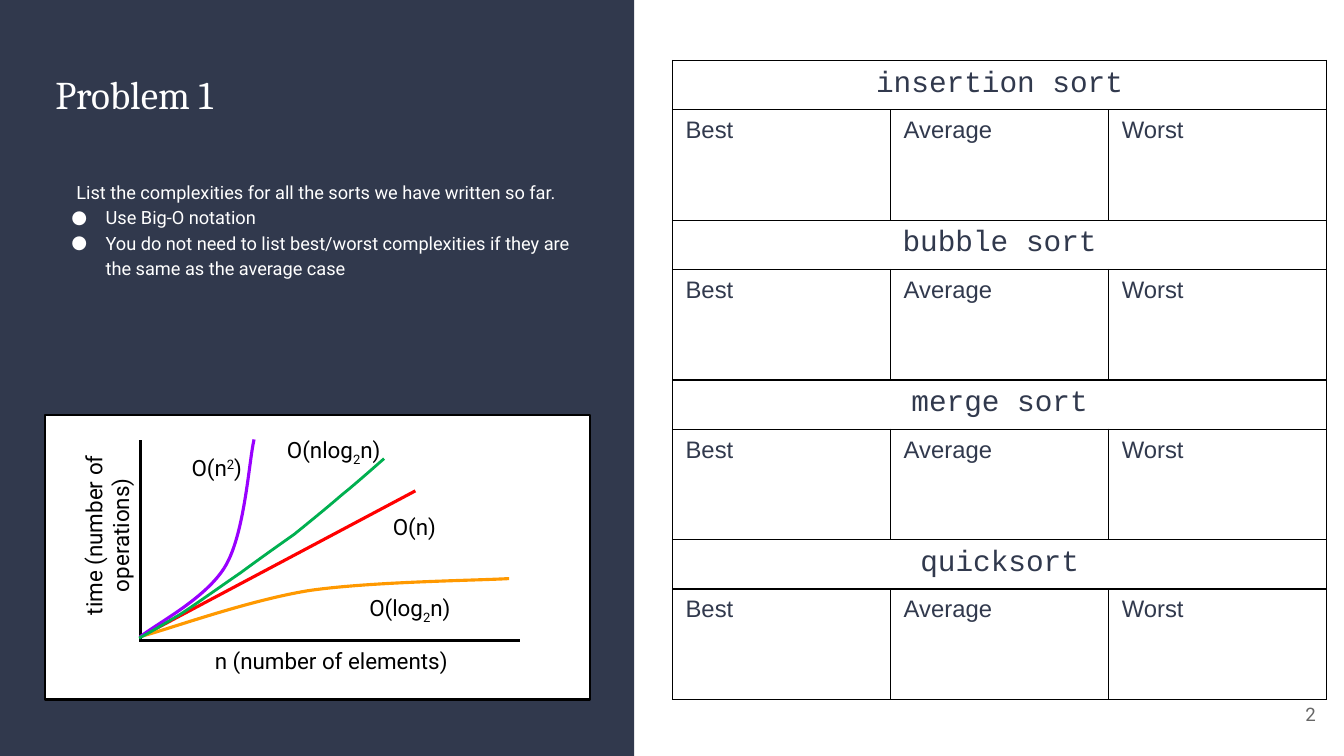
"""Build the Problem 1 slide: sorting complexities to fill in, beside a growth-rate graph."""
from lxml import etree
from pptx import Presentation
from pptx.dml.color import RGBColor
from pptx.enum.shapes import MSO_CONNECTOR, MSO_SHAPE
from pptx.enum.text import MSO_ANCHOR, PP_ALIGN
from pptx.oxml.ns import qn
from pptx.util import Inches, Pt

LEFT, CENTER, RIGHT = PP_ALIGN.LEFT, PP_ALIGN.CENTER, PP_ALIGN.RIGHT
TOP, MIDDLE = MSO_ANCHOR.TOP, MSO_ANCHOR.MIDDLE
STRAIGHT, RECTANGLE = MSO_CONNECTOR.STRAIGHT, MSO_SHAPE.RECTANGLE
NAVY = RGBColor(0x31, 0x39, 0x4D)
WHITE = RGBColor(0xFF, 0xFF, 0xFF)
BLACK = RGBColor(0, 0, 0)
GRAY = RGBColor(0x66, 0x66, 0x66)
RED = RGBColor(0xFF, 0, 0)
ORANGE = RGBColor(0xFF, 0x99, 0)
PURPLE = RGBColor(0x99, 0, 0xFF)
GREEN = RGBColor(0, 0xB0, 0x50)

WIDTH, HEIGHT = 13.33, 7.5
MARGIN, COLUMN = 0.45, 5.4
TASK = "List the complexities for all the sorts we have written so far."
HINTS = [
    "Use Big-O notation",
    "You do not need to list best/worst complexities if they are the same as the average case",
]
SORTS = ["insertion sort", "bubble sort", "merge sort", "quicksort"]
CASES = ["Best", "Average", "Worst"]
TABLE_BOX = (6.67, 0.6, 6.49, 6.34)
SORT_ROW = 0.49
CASE_ROW = TABLE_BOX[3] / len(SORTS) - SORT_ROW

SUB, SUPER = -25000, 30000
LABELS = [
    ((1.74, 6.41, 3.09, 0.28), 0, [("n (number of elements)", 0)]),
    ((-0.01, 5.17, 2.14, 0.28), 270, [("time (number of operations)", 0)]),
    ((3.16, 5.08, 1.9, 0.28), 0, [("O(n)", 0)]),
    ((2.52, 5.96, 3.09, 0.18), 0, [("O(log", 0), ("2", SUB), ("n)", 0)]),
    ((1.2, 4.5, 1.9, 0.28), 0, [("O(n", 0), ("2", SUPER), (")", 0)]),
    ((2.36, 4.34, 1.9, 0.28), 0, [("O(nlog", 0), ("2", SUB), ("n)", 0)]),
]
LINES = [
    ((1.39, 4.37), (1.39, 6.36), BLACK),
    ((1.38, 6.35), (5.16, 6.35), BLACK),
    ((1.39, 6.32), (4.12, 4.87), RED),
]
CURVES = [
    (ORANGE, 2.25, [(1.41, 6.31), (1.68, 6.24), (2.45, 5.96), (3.06, 5.86),
                    (3.67, 5.77), (4.72, 5.76), (5.05, 5.74)]),
    (PURPLE, 2.25, [(1.39, 6.32), (1.53, 6.2), (2.05, 5.94), (2.24, 5.61),
                    (2.43, 5.28), (2.47, 4.57), (2.52, 4.36)]),
    (GREEN, 2, [(1.38, 6.33), (1.5, 6.27), (1.61, 6.2), (1.78, 6.1),
                (1.95, 5.99), (2.2, 5.81), (2.39, 5.68),
                (2.58, 5.54), (2.75, 5.42), (2.92, 5.3),
                (3.08, 5.17), (3.24, 5.04), (3.39, 4.91),
                (3.54, 4.79), (3.74, 4.61), (3.81, 4.55)]),
]

deck = Presentation()
deck.slide_width, deck.slide_height = Inches(WIDTH), Inches(HEIGHT)
slide = deck.slides.add_slide(deck.slide_layouts[6])
shapes = slide.shapes


def style(paragraph, font, size, color, align=LEFT):
    paragraph.alignment = align
    for run in paragraph.runs:
        run.font.name, run.font.size = font, Pt(size)
        run.font.color.rgb = color


def text_box(box, inset=0.1, anchor=TOP):
    holder = shapes.add_textbox(*map(Inches, box))
    frame = holder.text_frame
    frame.word_wrap, frame.vertical_anchor = True, anchor
    frame.margin_left = frame.margin_right = Inches(inset)
    frame.margin_top = frame.margin_bottom = Inches(inset)
    return holder


def panel(box, fill):
    area = shapes.add_shape(RECTANGLE, *map(Inches, box))
    area.shadow.inherit = False
    area.fill.solid()
    area.fill.fore_color.rgb = fill
    area.line.fill.background()
    return area


def indent(paragraph, left, first=0, bullet=None):
    paragraph.line_spacing = 1.15
    properties = paragraph._p.get_or_add_pPr()
    properties.set("marL", str(Inches(left)))
    properties.set("indent", str(Inches(first)))
    if bullet:
        etree.SubElement(properties, qn("a:buFont"), typeface="Roboto")
        etree.SubElement(properties, qn("a:buChar"), char=bullet)


def fill_cell(cell, text, font, size, align):
    cell.text = text
    style(cell.text_frame.paragraphs[0], font, size, NAVY, align)


def outline_cell(cell):
    cell.margin_left = cell.margin_right = Inches(0.13)
    cell.margin_top = cell.margin_bottom = Inches(0.07)
    cell.fill.background()
    properties = cell._tc.get_or_add_tcPr()
    for order, side in enumerate(("a:lnL", "a:lnR", "a:lnT", "a:lnB")):
        border = etree.Element(qn(side), w=str(Pt(1)))
        paint = etree.SubElement(border, qn("a:solidFill"))
        etree.SubElement(paint, qn("a:srgbClr"), val=str(BLACK))
        properties.insert(order, border)


def bend(curve):
    """Join every three straight segments into one cubic segment."""
    segments = list(curve._element.iter(qn("a:lnTo")))
    for start in range(0, len(segments), 3):
        first, *others = segments[start:start + 3]
        first.addprevious(cubic := etree.Element(qn("a:cubicBezTo")))
        for segment in (first, *others):
            cubic.append(segment[0])
            segment.getparent().remove(segment)


panel((0, 0, 6.29, HEIGHT), NAVY)

title = text_box((MARGIN, 0.6, COLUMN, 0.93)).text_frame
title.text = "Problem 1"
style(title.paragraphs[0], "Cambria", 28, WHITE)

page = text_box((12.35, 6.8, 0.8, 0.57), anchor=MIDDLE).text_frame
page.text = "2"
style(page.paragraphs[0], "Roboto", 13.3, GRAY, RIGHT)

body = text_box((MARGIN, 1.67, COLUMN, 3.47)).text_frame
body.text = "\n".join([TASK, *HINTS])
task, *hints = body.paragraphs
indent(task, 0.21)
for hint in hints:
    indent(hint, 0.5, -0.34, "●")
for paragraph in body.paragraphs:
    style(paragraph, "Roboto", 13, WHITE)

table = shapes.add_table(2 * len(SORTS), len(CASES), *map(Inches, TABLE_BOX)).table
table.first_row = table.horz_banding = False
for index, sort in enumerate(SORTS):
    top, below = 2 * index, 2 * index + 1
    table.rows[top].height, table.rows[below].height = Inches(SORT_ROW), Inches(CASE_ROW)
    table.cell(top, 0).merge(table.cell(top, len(CASES) - 1))
    fill_cell(table.cell(top, 0), sort, "Courier New", 21, CENTER)
    for position, case in enumerate(CASES):
        fill_cell(table.cell(below, position), case, "Arial", 17, LEFT)
for cell in table.iter_cells():
    outline_cell(cell)

graph = panel((MARGIN, 4.12, COLUMN, 2.82), WHITE)
graph.line.color.rgb, graph.line.width = BLACK, Pt(1.5)

for start, end, color in LINES:
    line = shapes.add_connector(STRAIGHT, *map(Inches, start + end))
    line.line.color.rgb, line.line.width = color, Pt(2.25)
    etree.SubElement(line._element.spPr, qn("a:effectLst"))

for color, weight, nodes in CURVES:
    first, *rest = [tuple(map(Inches, node)) for node in nodes]
    builder = shapes.build_freeform(*first)
    builder.add_line_segments(rest, close=False)
    curve = builder.convert_to_shape()
    bend(curve)
    curve.shadow.inherit = False
    curve.fill.background()
    curve.line.color.rgb, curve.line.width = color, Pt(weight)

for box, rotation, parts in LABELS:
    label = text_box(box, 0.13, MIDDLE)
    label.rotation = rotation
    paragraph = label.text_frame.paragraphs[0]
    for text, baseline in parts:
        run = paragraph.add_run()
        run.text = text
        if baseline:
            run._r.get_or_add_rPr().set("baseline", str(baseline))
    style(paragraph, "Roboto", 16, BLACK, CENTER)

deck.save("out.pptx")
